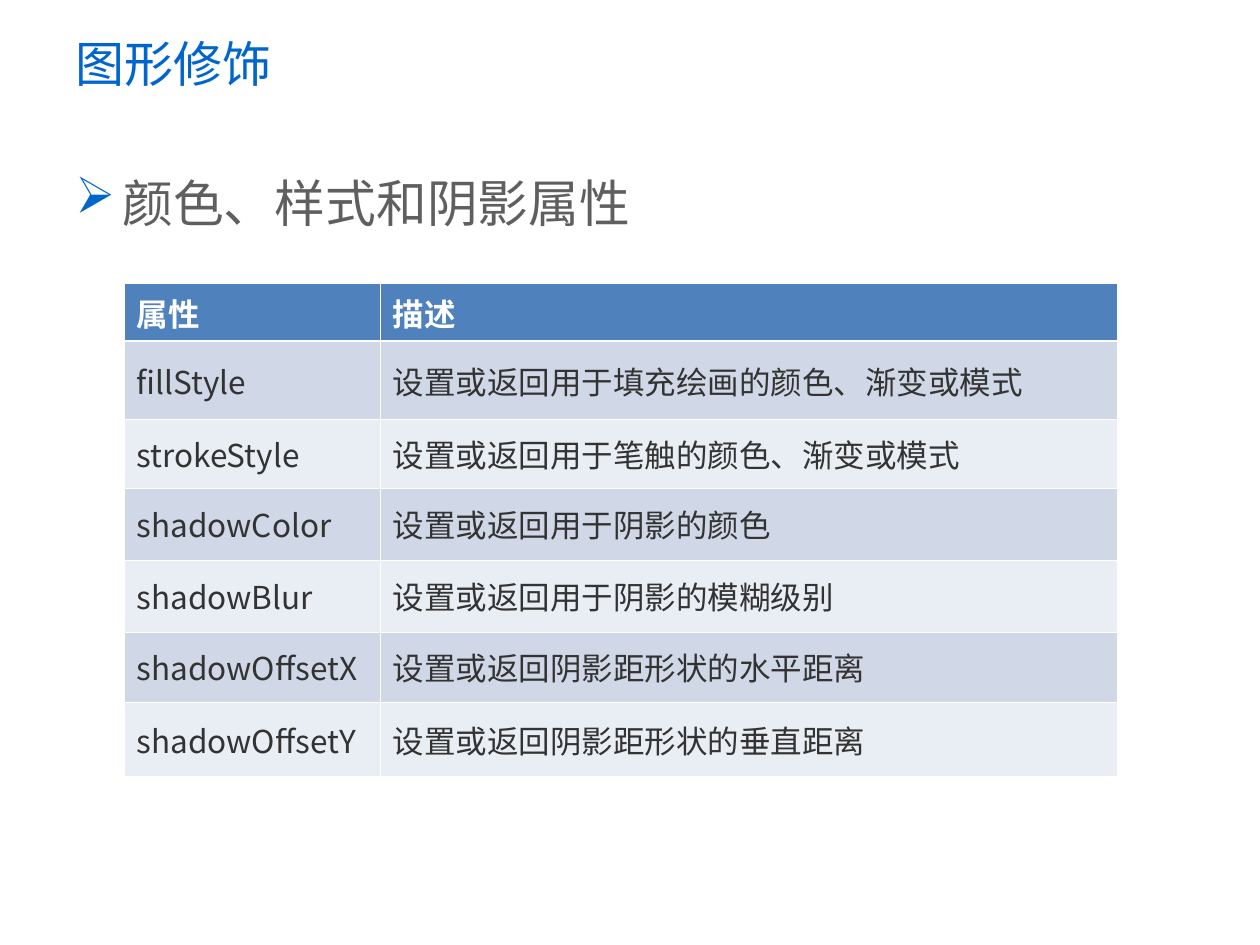
from lxml.etree import SubElement
from pptx import Presentation
from pptx.dml.color import RGBColor
from pptx.enum.lang import MSO_LANGUAGE_ID
from pptx.enum.text import MSO_ANCHOR
from pptx.oxml.ns import qn
from pptx.util import Cm, Pt

TITLE = "图形修饰"
SUBTITLE = "颜色、样式和阴影属性"
ROWS = [
    ("属性", "描述", 1.16),
    ("fillStyle", "设置或返回用于填充绘画的颜色、渐变或模式", 1.58),
    ("strokeStyle", "设置或返回用于笔触的颜色、渐变或模式", 1.38),
    ("shadowColor", "设置或返回用于阴影的颜色", 1.45),
    ("shadowBlur", "设置或返回用于阴影的模糊级别", 1.45),
    ("shadowOffsetX", "设置或返回阴影距形状的水平距离", 1.42),
    ("shadowOffsetY", "设置或返回阴影距形状的垂直距离", 1.49),
]
COLUMN_WIDTHS = (5.16, 14.86)
TABLE_AT = (2.5, 5.72)
TITLE_BOX = (1.27, 0, 19.43, 2.54)
SUBTITLE_BOX = (1.27, 3.33, 21.46, 1.7)
BULLET = {"symbol": "➢", "indent": 0.95}

THEME = {
    "title": {"name": "Arial", "size": Pt(28), "color": "0066CC"},
    "subtitle": {"name": "Arial", "size": Pt(29), "color": "5F5F5F"},
    "header": {"size": Pt(18), "bold": True, "color": "FFFFFF"},
    "body": {"size": Pt(18), "bold": False, "color": "333333"},
    "column_fonts": ("Noto Sans CJK SC", "Calibri"),
    "header_fill": "4F81BD",
    "band_fills": ("D0D8E8", "E9EDF4"),
    "border": "FFFFFF",
    "thin": Pt(0.45),
    "thick": Pt(1.47),
}


def write(frame, text, style):
    """Put styled text in the first paragraph of a text frame."""
    paragraph = frame.paragraphs[0]
    run = paragraph.add_run()
    run.text = text
    run.font.language_id = MSO_LANGUAGE_ID.SIMPLIFIED_CHINESE
    for attribute, value in style.items():
        if attribute == "color":
            run.font.color.rgb = RGBColor.from_string(value)
        else:
            setattr(run.font, attribute, value)
    return paragraph


def add_text(slide, box, text, style, anchor):
    """Add a wrapped text box and return its paragraph."""
    frame = slide.shapes.add_textbox(*map(Cm, box)).text_frame
    frame.word_wrap = True
    frame.vertical_anchor = anchor
    return write(frame, text, style)


def add_bullet(paragraph):
    """Give a paragraph a coloured bullet with a hanging indent."""
    properties = paragraph._p.get_or_add_pPr()
    properties.set("marL", str(Cm(BULLET["indent"])))
    properties.set("indent", str(-Cm(BULLET["indent"])))
    color = SubElement(properties, qn("a:buClr"))
    SubElement(color, qn("a:srgbClr"), val=THEME["title"]["color"])
    SubElement(properties, qn("a:buChar"), char=BULLET["symbol"])


def style_cell(cell, fill, widths):
    """Fill a cell and draw its borders with the given widths."""
    cell.vertical_anchor = MSO_ANCHOR.MIDDLE
    properties = cell._tc.get_or_add_tcPr()
    for side, width in widths.items():
        line = SubElement(properties, qn(f"a:ln{side}"), w=str(width))
        solid = SubElement(line, qn("a:solidFill"))
        SubElement(solid, qn("a:srgbClr"), val=THEME["border"])
    cell.fill.solid()
    cell.fill.fore_color.rgb = RGBColor.from_string(fill)


def add_property_table(slide):
    """Add the table of properties and descriptions."""
    width = sum(COLUMN_WIDTHS)
    height = sum(row[-1] for row in ROWS)
    table = slide.shapes.add_table(
        len(ROWS), len(COLUMN_WIDTHS), *map(Cm, (*TABLE_AT, width, height))
    ).table
    for column, column_width in zip(table.columns, COLUMN_WIDTHS):
        column.width = Cm(column_width)
    for row_index, (*texts, row_height) in enumerate(ROWS):
        table.rows[row_index].height = Cm(row_height)
        is_header = row_index == 0
        style = THEME["header" if is_header else "body"]
        fill = THEME["header_fill"] if is_header else THEME["band_fills"][(row_index - 1) % 2]
        widths = dict.fromkeys("LRTB", THEME["thin"])
        if row_index < 2:
            widths["B" if is_header else "T"] = THEME["thick"]
        for column_index, text in enumerate(texts):
            cell = table.cell(row_index, column_index)
            style_cell(cell, fill, widths)
            write(cell.text_frame, text, {**style, "name": THEME["column_fonts"][column_index]})


def main():
    """Build and save the slide."""
    presentation = Presentation()
    presentation.slide_width, presentation.slide_height = Cm(25.4), Cm(19.05)
    slide = presentation.slides.add_slide(presentation.slide_layouts[6])
    add_bullet(add_text(slide, SUBTITLE_BOX, SUBTITLE, THEME["subtitle"], MSO_ANCHOR.TOP))
    add_text(slide, TITLE_BOX, TITLE, THEME["title"], MSO_ANCHOR.MIDDLE)
    add_property_table(slide)
    presentation.save("out.pptx")


if __name__ == "__main__":
    main()
